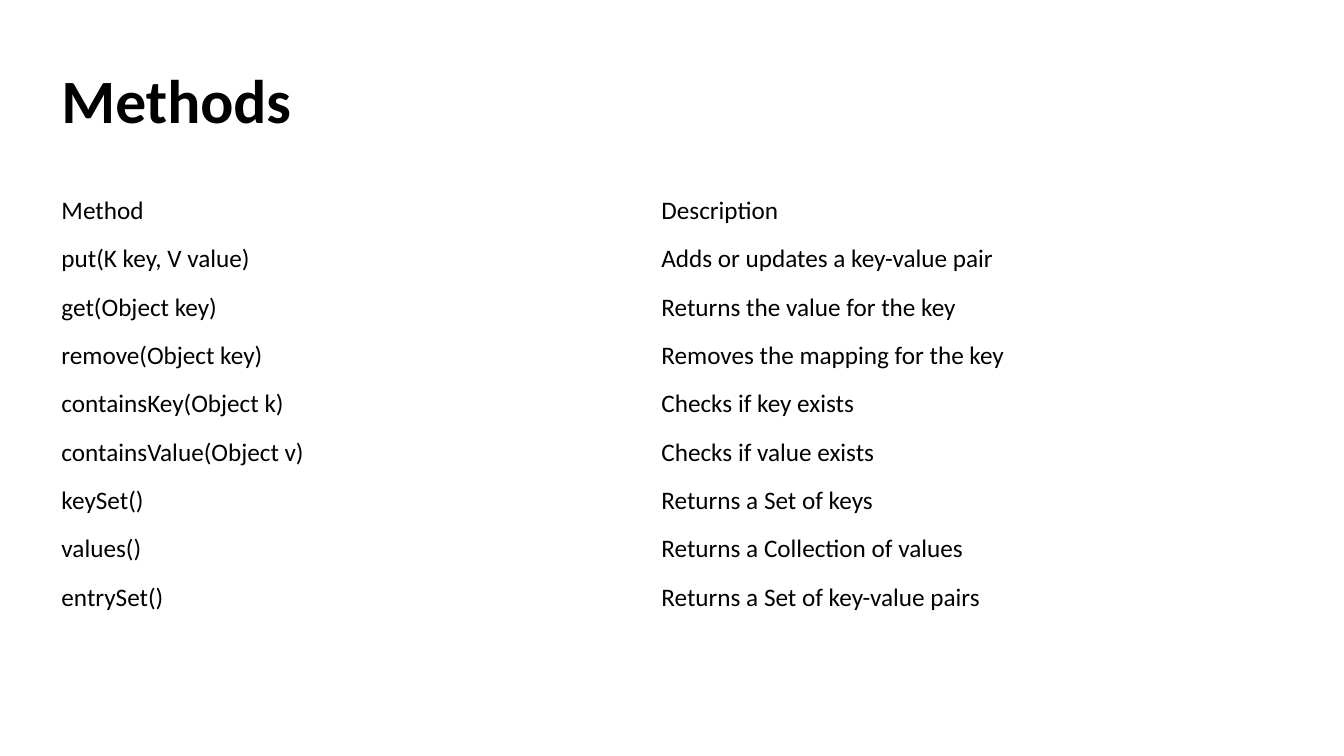
from pptx import Presentation
from pptx import util as u
from pptx.dml.color import RGBColor
from pptx.enum import text

WIDTH, HEIGHT = u.Inches(13.33), u.Inches(7.5)
LEFT = u.Inches(0.51)
COL_W, ROW_H = u.Inches(5.95), u.Inches(0.48)
COLORS = {"text": "000000", "background": "FFFFFF"}
TITLE_FONT = {"name": "Calibri", "size": u.Pt(44), "bold": True}
CELL_FONT = {"name": "Calibri", "size": u.Pt(18), "bold": False}

METHODS = [
    ("Method", "Description"),
    ("put(K key, V value)", "Adds or updates a key-value pair"),
    ("get(Object key)", "Returns the value for the key"),
    ("remove(Object key)", "Removes the mapping for the key"),
    ("containsKey(Object k)", "Checks if key exists"),
    ("containsValue(Object v)", "Checks if value exists"),
    ("keySet()", "Returns a Set of keys"),
    ("values()", "Returns a Collection of values"),
    ("entrySet()", "Returns a Set of key-value pairs"),
]


def set_attrs(obj, values):
    for name, value in values.items():
        setattr(obj, name, value)


def write(tf, content, font):
    p = tf.paragraphs[0]
    p.alignment = text.PP_ALIGN.LEFT
    r = p.add_run()
    r.text = content
    set_attrs(r.font, font)
    r.font.color.rgb = RGBColor.from_string(COLORS["text"])
    return p


def add_title(s, content):
    sp = s.shapes.title
    set_attrs(sp, {"left": LEFT, "top": u.Inches(0.3),
                   "width": u.Inches(11.5), "height": u.Inches(1.45)})
    tf = sp.text_frame
    set_attrs(tf, {"auto_size": text.MSO_AUTO_SIZE.NONE, "word_wrap": True,
                   "vertical_anchor": text.MSO_ANCHOR.MIDDLE})
    write(tf, content, TITLE_FONT).line_spacing = 0.9


def add_plain_table(s, rows):
    """Add a table without fills, banding or a header style."""
    n_rows, n_cols = len(rows), len(rows[0])
    table = s.shapes.add_table(n_rows, n_cols, LEFT, u.Inches(1.85),
                               n_cols * COL_W, n_rows * ROW_H).table
    set_attrs(table, {"first_row": False, "horz_banding": False})
    for cell, content in zip(table.iter_cells(), sum(rows, ())):
        cell.fill.background()
        cell.vertical_anchor = text.MSO_ANCHOR.MIDDLE
        write(cell.text_frame, content, CELL_FONT)


def main():
    prs = Presentation()
    set_attrs(prs, {"slide_width": WIDTH, "slide_height": HEIGHT})
    s = prs.slides.add_slide(prs.slide_layouts.get_by_name("Title Only"))
    fill = s.background.fill
    fill.solid()
    fill.fore_color.rgb = RGBColor.from_string(COLORS["background"])
    add_title(s, "Methods")
    add_plain_table(s, METHODS)
    prs.save("out.pptx")


if __name__ == "__main__":
    main()
